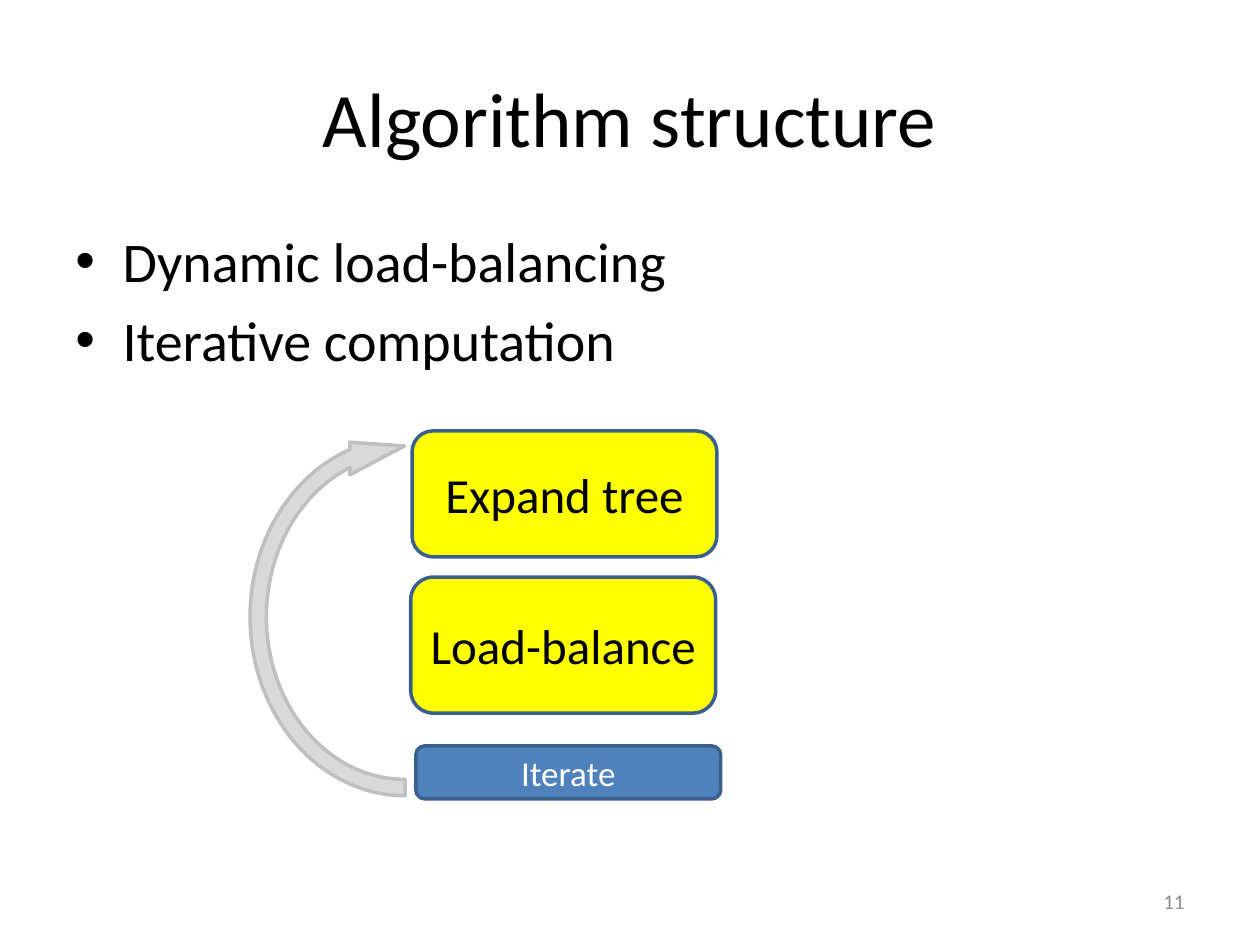
from lxml.etree import SubElement
from pptx import Presentation
from pptx.dml.color import RGBColor
from pptx.enum.shapes import MSO_SHAPE
from pptx.enum.text import MSO_ANCHOR, PP_ALIGN
from pptx.oxml.ns import qn
from pptx.util import Pt

COLORS = {
    "text": "000000",
    "number": "8C8C8C",
    "step": "FFFF00",
    "iterate": "4F81BD",
    "outline": "3A5F8C",
    "arrow": "D9D9D9",
    "arrow_outline": "BFBFBF",
    "white": "FFFFFF",
}


class SlideBuilder:
    font_name = "Calibri"
    line_width = 2
    bullet_indent = 27

    def __init__(self, slide):
        self.slide = slide

    def color(self, name):
        return RGBColor.from_string(COLORS[name])

    def add_text(self, paragraph, text, size, color, align):
        paragraph.alignment = align
        run = paragraph.add_run()
        run.text = text
        run.font.name = self.font_name
        run.font.size = Pt(size)
        run.font.color.rgb = self.color(color)

    def text_frame(self, box, anchor):
        shape = self.slide.shapes.add_textbox(*map(Pt, box))
        frame = shape.text_frame
        frame.word_wrap = True
        frame.vertical_anchor = anchor
        return frame

    def label(self, box, text, size, color, align):
        frame = self.text_frame(box, MSO_ANCHOR.MIDDLE)
        self.add_text(frame.paragraphs[0], text, size, color, align)

    def bullets(self, box, items, size):
        frame = self.text_frame(box, MSO_ANCHOR.TOP)
        for index, item in enumerate(items):
            paragraph = frame.add_paragraph() if index else frame.paragraphs[0]
            paragraph.space_before = Pt(0.2 * size if index else 0)
            properties = paragraph._p.get_or_add_pPr()
            properties.set("marL", str(Pt(self.bullet_indent)))
            properties.set("indent", str(-Pt(self.bullet_indent)))
            SubElement(properties, qn("a:buFont"), typeface="Arial")
            SubElement(properties, qn("a:buChar"), char="•")
            self.add_text(paragraph, item, size, "text", PP_ALIGN.LEFT)

    def shape(self, kind, box, fill, outline):
        shape = self.slide.shapes.add_shape(kind, *map(Pt, box))
        shape.shadow.inherit = False
        shape.fill.solid()
        shape.fill.fore_color.rgb = self.color(fill)
        shape.line.color.rgb = self.color(outline)
        shape.line.width = Pt(self.line_width)
        return shape

    def step(self, box, text, size, fill, color):
        shape = self.shape(MSO_SHAPE.ROUNDED_RECTANGLE, box, fill, "outline")
        frame = shape.text_frame
        frame.word_wrap = True
        frame.vertical_anchor = MSO_ANCHOR.MIDDLE
        self.add_text(frame.paragraphs[0], text, size, color, PP_ALIGN.CENTER)

    def loop_arrow(self, box, rotation, adjustments):
        shape = self.shape(MSO_SHAPE.CIRCULAR_ARROW, box, "arrow", "arrow_outline")
        shape.rotation = rotation
        for index, value in enumerate(adjustments):
            shape.adjustments[index] = value


def main():
    presentation = Presentation()
    presentation.slide_width = Pt(720)
    presentation.slide_height = Pt(540)
    builder = SlideBuilder(presentation.slides.add_slide(presentation.slide_layouts[6]))

    builder.label((36, 21.6, 648, 90), "Algorithm structure", 44, "text", PP_ALIGN.CENTER)
    builder.bullets((36, 126, 648, 356.4), ["Dynamic load-balancing", "Iterative computation"], 32)
    builder.label((516.24, 500.4, 167.76, 28.8), "11", 12, "number", PP_ALIGN.RIGHT)

    step_width = 174.24
    for left, top, height, text, size, fill, color in [
        (235.44, 246.24, 72, "Expand tree", 28, "step", "text"),
        (234.72, 329.76, 77.76, "Load-balance", 28, "step", "text"),
        (237.6, 426.24, 30.24, "Iterate", 20, "iterate", "white"),
    ]:
        builder.step((left, top, step_width, height), text, size, fill, color)

    builder.loop_arrow((124.56, 259.2, 213.84, 186.48), 270, [0.05, 11.42, 204.45, 108, 0.05])
    presentation.save("out.pptx")


if __name__ == "__main__":
    main()
